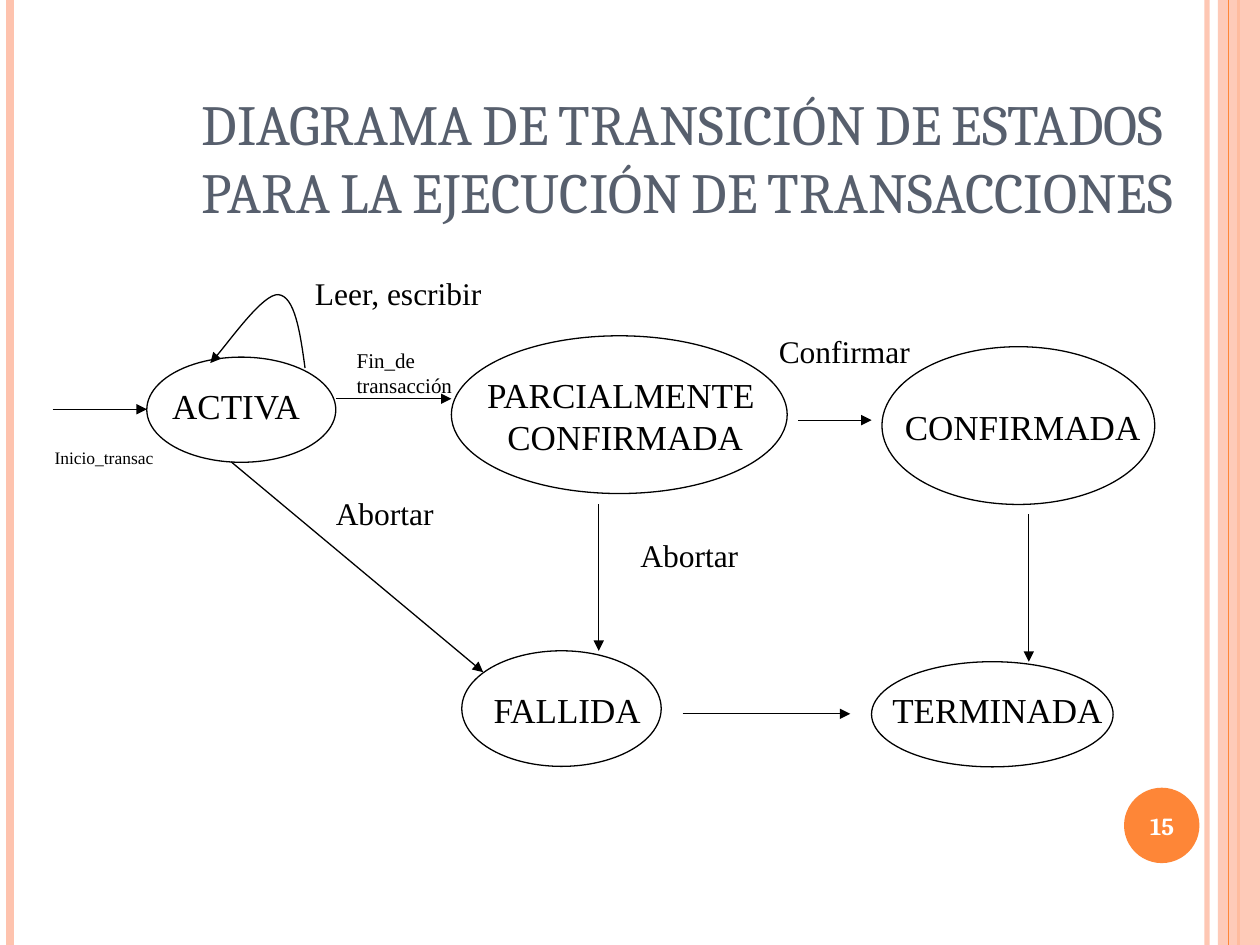
from lxml.etree import SubElement
from pptx import Presentation
from pptx.dml.color import RGBColor
from pptx.enum.shapes import MSO_CONNECTOR, MSO_SHAPE
from pptx.enum.text import MSO_ANCHOR, MSO_AUTO_SIZE, PP_ALIGN
from pptx.oxml.ns import qn
from pptx.util import Cm, Pt

COLORS = {"ink": "000000", "title": "575F6D", "orange": "FE8637",
          "peach": "FEC3AE", "white": "FFFFFF"}
SERIF = "Times New Roman"
HEADING = "Cambria"

deck = Presentation()
deck.slide_width, deck.slide_height = Cm(25.4), Cm(19.05)
page = deck.slides.add_slide(deck.slide_layouts[5])


def draw_line(start, end, color="ink", width=0.75, arrow=False):
    """Add a straight line between two points in centimetres."""
    line = page.shapes.add_connector(
        MSO_CONNECTOR.STRAIGHT, *map(Cm, start + end))
    line.line.color.rgb = RGBColor.from_string(COLORS[color])
    line.line.width = Pt(width)
    if arrow:
        SubElement(line.line._get_or_add_ln(), qn("a:tailEnd"), type="triangle")
    SubElement(line._element.spPr, qn("a:effectLst"))
    return line


def write(frame, lines, size, color="ink", font=SERIF, align=PP_ALIGN.LEFT, bold=False):
    """Fill a text frame with one paragraph per line and return its last run."""
    for index, text in enumerate(lines):
        para = frame.add_paragraph() if index else frame.paragraphs[0]
        para.alignment = align
        span = para.add_run()
        span.text = text
        span.font.name, span.font.size, span.font.bold = font, Pt(size), bold
        span.font.color.rgb = RGBColor.from_string(COLORS[color])
    return span


# Side stripes: x, colour, width, opacity in percent
stripes = [(24.33, "peach", 3, 93), (0.2, "peach", 4.5, 100), (24.97, "orange", 1.5, 100)]
for x, color, width, opacity in stripes:
    stripe = draw_line((x, 0), (x, 19.05), color, width)
    if opacity < 100:
        SubElement(stripe._element.spPr.find(".//" + qn("a:srgbClr")),
                   qn("a:alpha"), val=str(opacity * 1000))

# The band veils the wide orange stripe; the thin one lies on top of it
band = page.shapes.add_shape(MSO_SHAPE.RECTANGLE, Cm(24.55), 0, Cm(0.85), Cm(19.05))
draw_line((24.77, 0), (24.77, 19.05), "orange")
badge = page.shapes.add_shape(MSO_SHAPE.OVAL, Cm(22.66), Cm(15.88), Cm(1.52), Cm(1.52))
for shape, color in ((band, "peach"), (badge, "orange")):
    shape.shadow.inherit = False
    shape.fill.solid()
    shape.fill.fore_color.rgb = RGBColor.from_string(COLORS[color])
    shape.line.fill.background()
SubElement(band._element.spPr.find(".//" + qn("a:srgbClr")), qn("a:alpha"), val="87000")

# Title and page number
title = page.shapes.title
title.left, title.top, title.width, title.height = Cm(3.81), Cm(1.7), Cm(21.59), Cm(2.96)
title.text_frame.vertical_anchor = MSO_ANCHOR.BOTTOM
title.text_frame.auto_size = MSO_AUTO_SIZE.NONE
title_span = write(
    title.text_frame,
    ["DIAGRAMA DE TRANSICIÓN DE ESTADOS PARA LA EJECUCIÓN DE TRANSACCIONES"],
    32.4, "title", HEADING)
title_span.font._element.set("cap", "small")

number = page.shapes.add_textbox(Cm(22.58), Cm(15.93), Cm(1.7), Cm(1.45))
number.text_frame.word_wrap = True
number.text_frame.vertical_anchor = MSO_ANCHOR.MIDDLE
write(number.text_frame, ["15"], 14, "white", HEADING, PP_ALIGN.CENTER, True)

# States: left, top, width, height
states = [(2.96, 7.2, 3.81, 2.12), (9.1, 6.77, 6.77, 3.18), (17.78, 6.99, 5.5, 3.18),
          (9.31, 13.12, 4.02, 2.33), (17.57, 13.34, 4.87, 2.12)]
for place in states:
    state = page.shapes.add_shape(MSO_SHAPE.OVAL, *map(Cm, place))
    state.shadow.inherit = False
    state.fill.background()
    state.line.color.rgb = RGBColor.from_string(COLORS["ink"])
    state.line.width = Pt(0.75)

# Transitions: start point, end point
transitions = [((1.06, 8.25), (2.96, 8.25)), ((6.77, 8.04), (9.1, 8.04)),
               ((16.09, 8.47), (17.57, 8.47)), ((20.74, 10.37), (20.74, 13.34)),
               ((12.07, 10.16), (12.07, 13.12)), ((4.66, 9.31), (9.74, 13.55)),
               ((13.76, 14.39), (17.14, 14.39))]
for start, end in transitions:
    draw_line(start, end, arrow=True)

# Loop on the active state: straight segments regrouped into two Bezier curves
loop_points = [(6.15, 7.42), (6.05, 6.68), (5.94, 5.97), (5.61, 5.94),
               (5.31, 5.92), (4.47, 7.09), (4.24, 7.32)]
points = [(Cm(x), Cm(y)) for x, y in loop_points]
builder = page.shapes.build_freeform(*points[0])
builder.add_line_segments(points[1:], close=False)
loop = builder.convert_to_shape()
segments = list(loop._element.iter(qn("a:lnTo")))
outline = segments[0].getparent()
for first in range(0, len(segments), 3):
    curve = SubElement(outline, qn("a:cubicBezTo"))
    for segment in segments[first:first + 3]:
        curve.append(segment[0])
        outline.remove(segment)
loop.shadow.inherit = False
loop.fill.background()
loop.line.color.rgb = RGBColor.from_string(COLORS["ink"])
loop.line.width = Pt(0.75)
SubElement(loop.line._get_or_add_ln(), qn("a:tailEnd"), type="triangle")

# State names and transition labels: lines, size, alignment, place
labels = [
    (["ACTIVA"], 20, PP_ALIGN.CENTER, (2.96, 7.62, 3.6, 1.1)),
    (["PARCIALMENTE ", "CONFIRMADA"], 20, PP_ALIGN.CENTER, (9.53, 7.41, 6.15, 1.96)),
    (["CONFIRMADA"], 20, PP_ALIGN.LEFT, (17.99, 8.04, 5.3, 1.1)),
    (["FALLIDA"], 20, PP_ALIGN.CENTER, (9.53, 13.76, 3.81, 1.1)),
    (["TERMINADA"], 20, PP_ALIGN.CENTER, (17.57, 13.76, 5.08, 1.1)),
    (["Inicio_transac"], 10, PP_ALIGN.LEFT, (0.85, 8.89, 2.55, 0.68)),
    (["Leer, escribir"], 18, PP_ALIGN.LEFT, (6.1, 5.4, 3.9, 1.02)),
    (["Abortar"], 18, PP_ALIGN.LEFT, (6.52, 9.84, 2.55, 1.02)),
    (["Confirmar"], 18, PP_ALIGN.LEFT, (15.45, 6.56, 3.25, 1.02)),
    (["Abortar"], 18, PP_ALIGN.LEFT, (12.66, 10.68, 2.55, 1.02)),
    (["Fin_de ", "transacción"], 12, PP_ALIGN.LEFT, (6.94, 6.88, 2.5, 1.28)),
]
for lines, size, align, place in labels:
    box = page.shapes.add_textbox(*map(Cm, place))
    box.text_frame.word_wrap = False
    box.text_frame.auto_size = MSO_AUTO_SIZE.SHAPE_TO_FIT_TEXT
    write(box.text_frame, lines, size, align=align)

deck.save("out.pptx")
